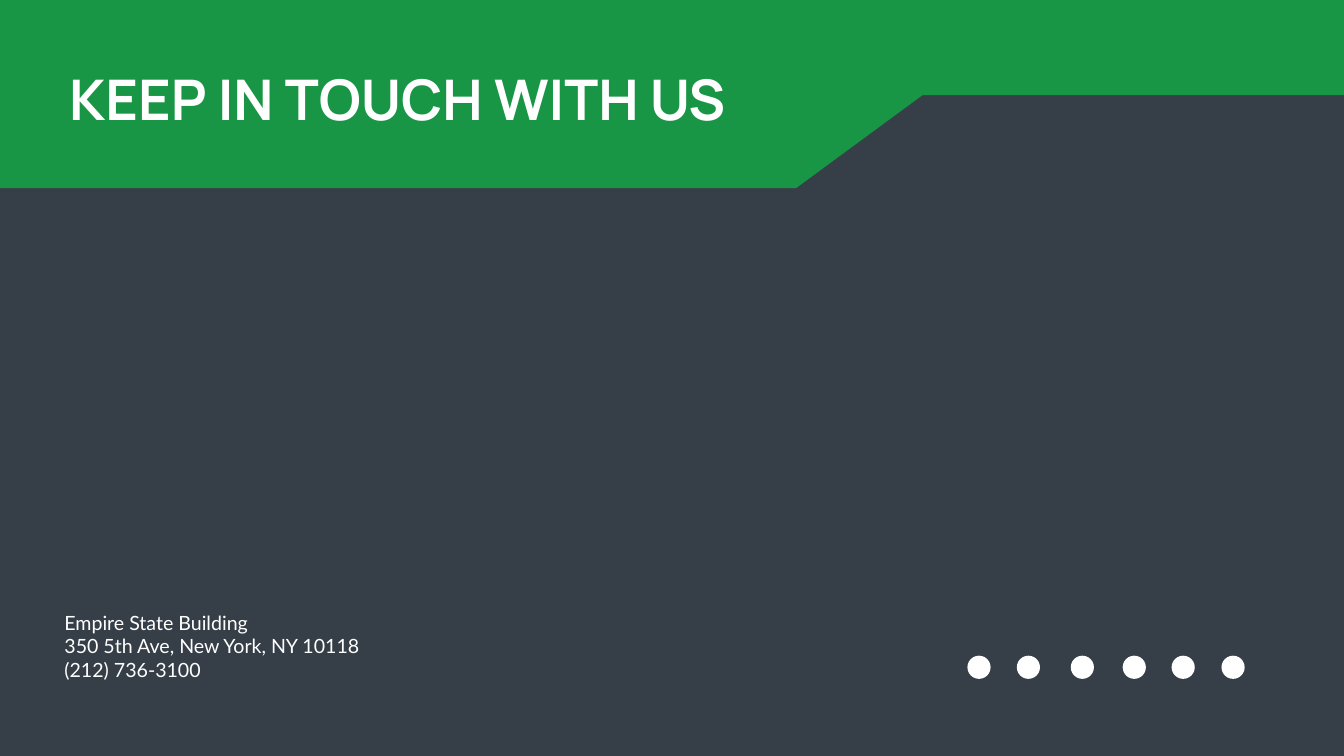
from typing import NamedTuple

from lxml import etree
from pptx import Presentation
from pptx.dml.color import RGBColor as Rgb
from pptx.enum.shapes import MSO_SHAPE as Kind
from pptx.enum.text import MSO_ANCHOR as Anchor
from pptx.enum.text import MSO_AUTO_SIZE as Fit
from pptx.enum.text import PP_ALIGN as Align
from pptx.oxml.ns import qn
from pptx.util import Inches, Pt

COLORS = {"slate": "363E48", "green": "199645", "white": "FFFFFF"}
WIDE, HIGH = 26.66, 15
TOP = -0.16  # the panels bleed over the top edge


class Box(NamedTuple):
    left: float
    top: float
    width: float
    height: float


class Panel(NamedTuple):
    kind: Kind
    box: Box
    color: str


class Face(NamedTuple):
    font: str
    size: int
    bold: bool = False


PANELS = [
    Panel(Kind.RECTANGLE, Box(0, TOP, WIDE, HIGH - TOP), "slate"),
    Panel(Kind.RECTANGLE, Box(11.78, TOP, WIDE - 11.78, 2.05), "green"),
    Panel(Kind.PENTAGON, Box(0, TOP, 18.44, 3.89), "green"),
]
# Plain dots stand for the social links
DOTS = [
    Panel(Kind.OVAL, Box(mid - 0.23, 13.01, 0.46, 0.46), "white")
    for mid in (19.42, 20.4, 21.47, 22.5, 23.47, 24.46)
]
CONTACT = [
    "Empire State Building",
    "350 5th Ave, New York, NY 10118",
    "(212) 736-3100",
]


def rgb(name: str) -> Rgb:
    return Rgb.from_string(COLORS[name])


def place(shape, box: Box) -> None:
    shape.left, shape.top, shape.width, shape.height = map(Inches, box)


def draw(slide, panel: Panel):
    shape = slide.shapes.add_shape(panel.kind, *map(Inches, panel.box))
    shape.shadow.inherit = False
    shape.fill.solid()
    shape.fill.fore_color.rgb = rgb(panel.color)
    shape.line.fill.background()
    return shape


def write(shape, lines: list[str], face: Face) -> None:
    frame = shape.text_frame
    frame.word_wrap = True
    frame.auto_size = Fit.SHAPE_TO_FIT_TEXT
    frame.vertical_anchor = Anchor.TOP
    for i, line in enumerate(lines):
        para = frame.add_paragraph() if i else frame.paragraphs[0]
        para.alignment = Align.LEFT
        run = para.add_run()
        run.text = line
        run.font.name = face.font
        run.font.size = Pt(face.size)
        run.font.bold = face.bold
        run.font.color.rgb = rgb("white")


def main() -> None:
    deck = Presentation()
    deck.slide_width, deck.slide_height = Inches(WIDE), Inches(HIGH)
    slide = deck.slides.add_slide(deck.slide_layouts[5])
    slide.background.fill.solid()
    slide.background.fill.fore_color.rgb = rgb("slate")

    # Backdrop and header band
    veil, _, flag = [draw(slide, panel) for panel in PANELS]
    tint = veil.fill._xPr.find(".//" + qn("a:srgbClr"))
    etree.SubElement(tint, qn("a:alpha"), val="80000")
    flag.adjustments[0] = 0.68

    # Title, raised above the band
    title = slide.shapes.title
    slide.shapes._spTree.append(title._element)
    place(title, Box(1.27, 1.22, 14.21, 1.45))
    write(title, ["KEEP IN TOUCH WITH US"], Face("Manrope", 80, True))

    # Social links
    for dot in DOTS:
        draw(slide, dot)

    # Address
    note = slide.shapes.add_textbox(*map(Inches, Box(1.18, 12.07, 6.36, 1.51)))
    write(note, CONTACT, Face("Lato", 28))

    deck.save("out.pptx")


if __name__ == "__main__":
    main()
